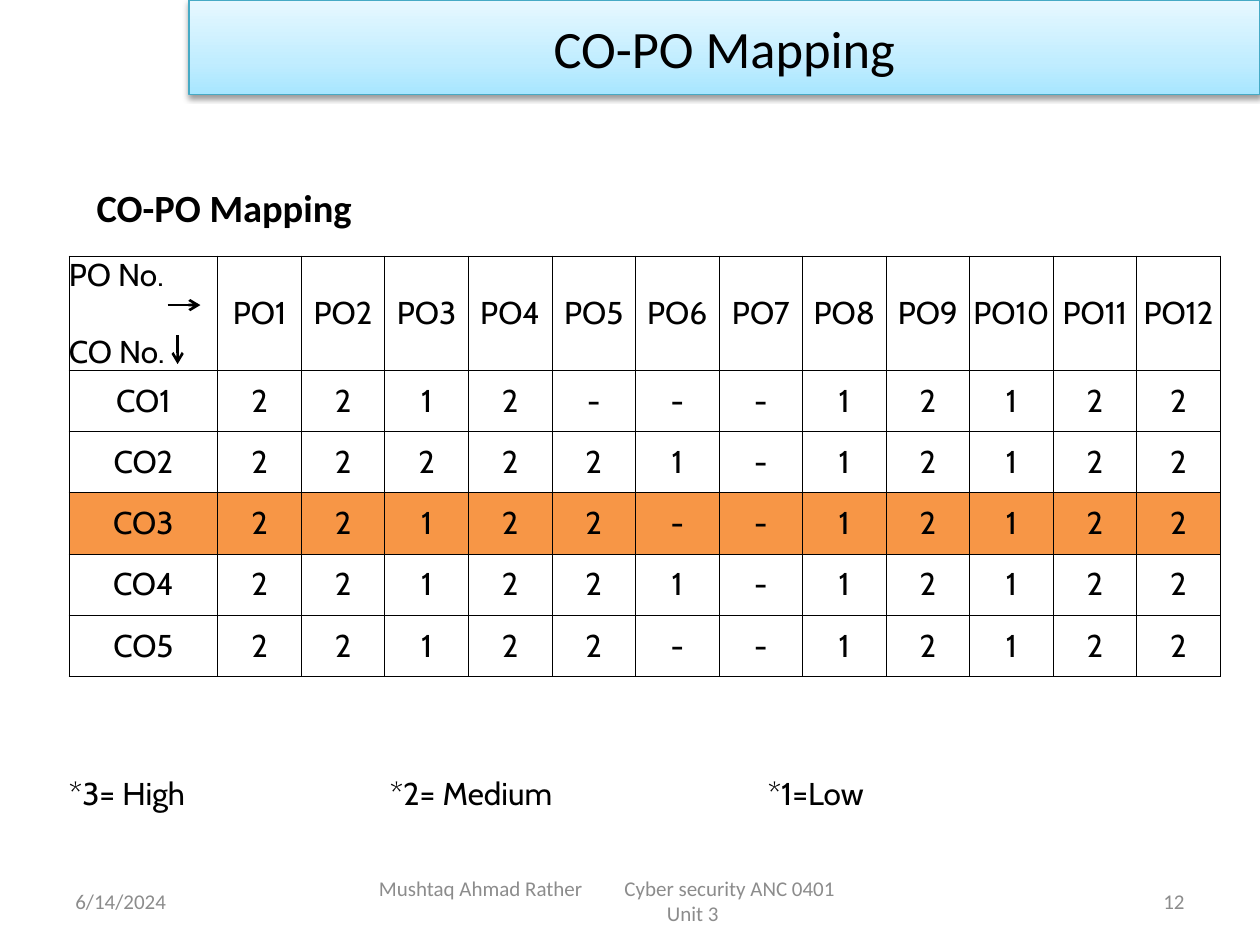
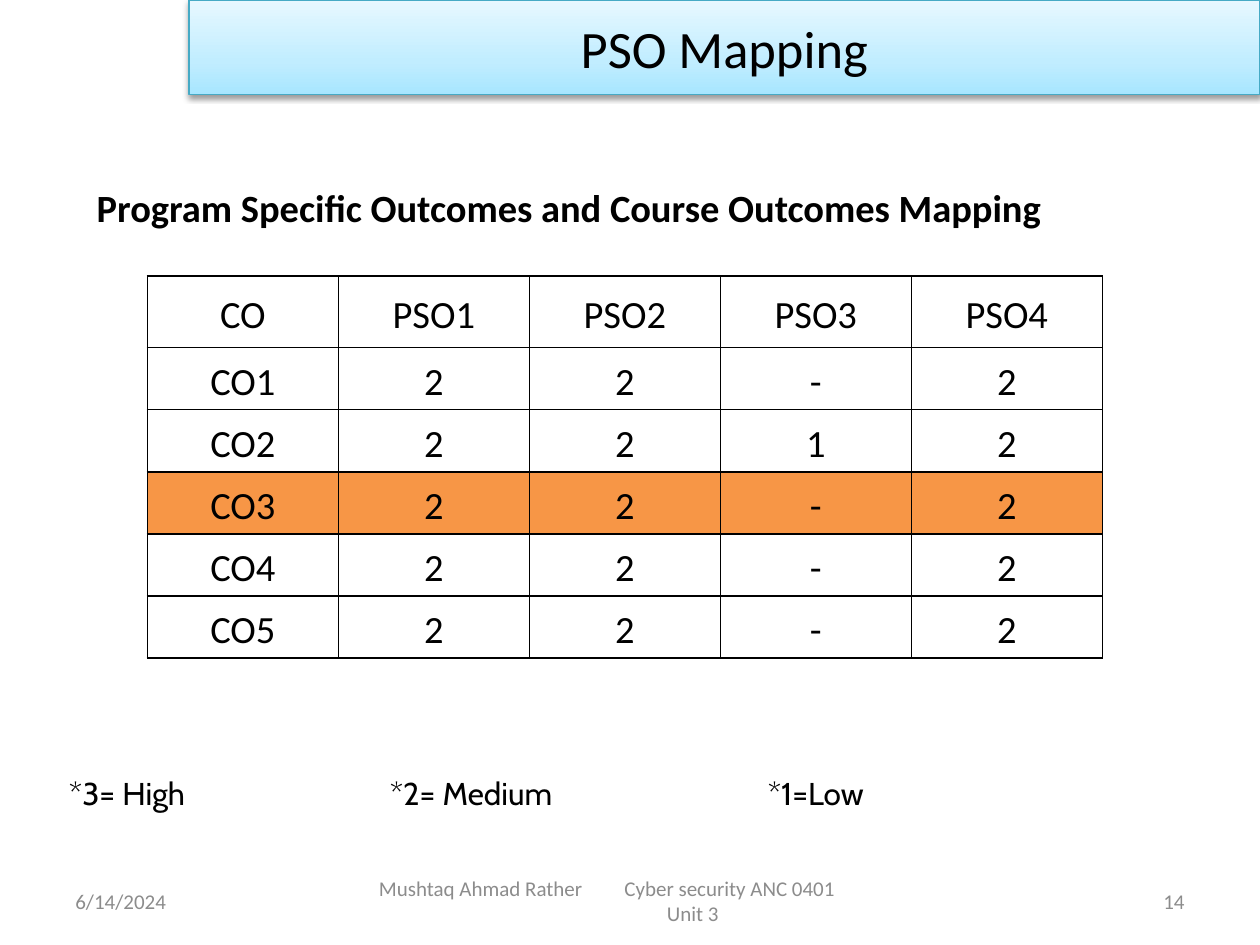
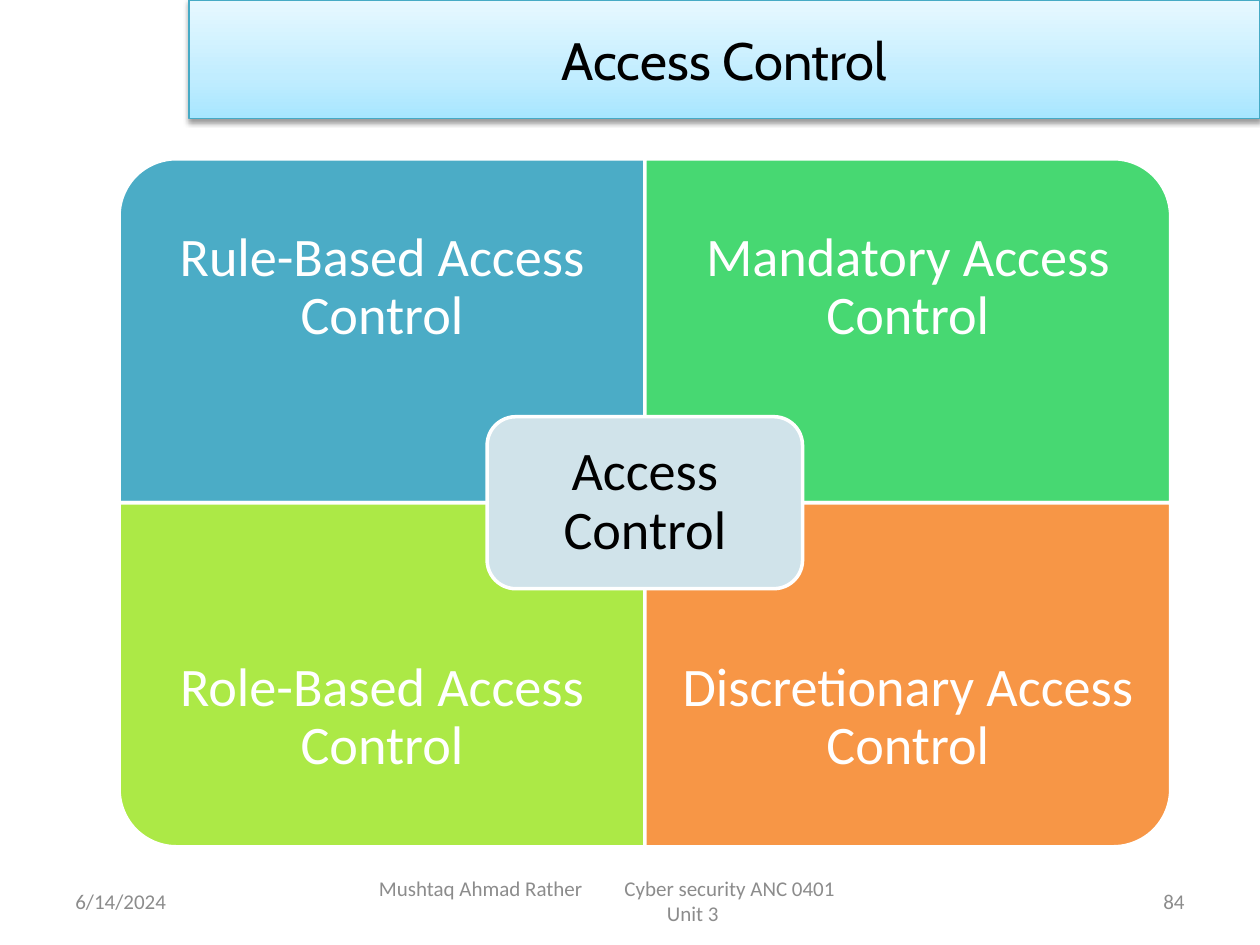
import copy
from dataclasses import dataclass

import lxml.etree
import pptx
import pptx.dml.color
import pptx.enum.shapes
import pptx.enum.text
import pptx.oxml.ns
import pptx.util

Cm = pptx.util.Cm
Pt = pptx.util.Pt
qn = pptx.oxml.ns.qn
SHAPES = pptx.enum.shapes.MSO_SHAPE
ALIGN = pptx.enum.text.PP_ALIGN
ANCHOR = pptx.enum.text.MSO_ANCHOR


@dataclass(frozen=True)
class Theme:
    body_font: str = "Calibri"
    accent_font: str = "Cabin"
    ink: str = "000000"
    paper: str = "FFFFFF"
    muted: str = "8C8C8C"
    highlight: str = "F79646"
    teal: str = "4BACC6"
    green: str = "47D872"
    lime: str = "ACE946"
    hub: str = "D0E3EA"
    band_line: str = "46AAC5"
    band_stops: tuple = ((0, "A7E6FF"), (0.35, "C1EDFF"), (1, "E7F8FF"))
    title_size: int = 30
    heading_size: int = 22
    grid_size: int = 18
    matrix_size: int = 31
    footer_size: int = 12


@dataclass(frozen=True)
class Box:
    left: float
    top: float
    width: float
    height: float

    def lengths(self):
        return Cm(self.left), Cm(self.top), Cm(self.width), Cm(self.height)

    def inner(self, left, top, width, height):
        return Box(self.left + left, self.top + top, width, height)


THEME = Theme()
BAND = Box(3.81, 0, 21.59, 1.91)
TALL_BAND = Box(3.81, 0, 21.59, 2.39)
FOOTER = Box(1.27, 17.65, 22.86, 1.02)
LEGEND = Box(0, 15.47, 24.82, 1.02)
DEFAULT_INSETS = (0.25, 0.13, 0.25, 0.13)


def rgb(value):
    return pptx.dml.color.RGBColor.from_string(value)


def add_element(parent, tag, **attributes):
    return lxml.etree.SubElement(parent, qn(tag), attributes)


def set_tabs(paragraph, *positions):
    tabs = add_element(paragraph._p.get_or_add_pPr(), "a:tabLst")
    for position in positions:
        add_element(tabs, "a:tab", pos=str(Cm(position)), algn="l")


def format_text(frame, size, color, font=THEME.body_font, align=ALIGN.LEFT, bold=False, spacing=None):
    for paragraph in frame.paragraphs:
        paragraph.alignment = align
        if spacing:
            paragraph.line_spacing = spacing
        for run in paragraph.runs:
            run.font.size = Pt(size)
            run.font.name = font
            run.font.bold = bold
            run.font.color.rgb = rgb(color)


def set_frame(frame, text, insets=DEFAULT_INSETS, anchor=ANCHOR.MIDDLE):
    frame.word_wrap = True
    frame.vertical_anchor = anchor
    frame.margin_left, frame.margin_top, frame.margin_right, frame.margin_bottom = map(Cm, insets)
    frame.text = text
    return frame


def add_text(slide, box, text, insets=DEFAULT_INSETS, anchor=ANCHOR.MIDDLE):
    return set_frame(slide.shapes.add_textbox(*box.lengths()).text_frame, text, insets, anchor)


def add_filled_shape(slide, kind, box, color):
    shape = slide.shapes.add_shape(kind, *box.lengths())
    shape.shadow.inherit = False
    shape.fill.solid()
    shape.fill.fore_color.rgb = rgb(color)
    shape.line.color.rgb = rgb(THEME.paper)
    shape.line.width = Pt(2)
    return shape


def title_band(slide, box, title, font=THEME.body_font):
    band = slide.shapes.add_shape(SHAPES.RECTANGLE, *box.lengths())
    band.fill.gradient()
    band.fill.gradient_angle = 90
    stops = band._element.spPr.find(".//" + qn("a:gsLst"))
    stops.append(copy.deepcopy(stops[-1]))
    for stop, (position, color) in zip(band.fill.gradient_stops, THEME.band_stops):
        stop.position = position
        stop.color.rgb = rgb(color)
    band.line.color.rgb = rgb(THEME.band_line)
    band.line.width = Pt(0.75)
    band.shadow.inherit = False
    effects = band._element.spPr.find(qn("a:effectLst"))
    shadow = add_element(effects, "a:outerShdw", blurRad="40000", dist="20000",
                         dir="5400000", rotWithShape="0")
    shade = add_element(shadow, "a:srgbClr", val=THEME.ink)
    add_element(shade, "a:alpha", val="38000")
    frame = set_frame(band.text_frame, title)
    format_text(frame, THEME.title_size, THEME.ink, font, ALIGN.CENTER)


def footer(slide, box, page_number):
    side = 5.93
    date = add_text(slide, box.inner(0, 0, side, box.height), "6/14/2024")
    format_text(date, THEME.footer_size, THEME.muted)

    page = add_text(slide, box.inner(box.width - side, 0, side, box.height), page_number)
    format_text(page, THEME.footer_size, THEME.muted, align=ALIGN.RIGHT)

    course = add_text(slide, box.inner(5.71, 0, 13.97, box.height),
                      "Mushtaq Ahmad Rather\tCyber security ANC 0401\nUnit 3",
                      (0.66, 0.13, 0.66, 0.13))
    set_tabs(course.paragraphs[0], 4.95)
    format_text(course, THEME.footer_size, THEME.muted)
    course.paragraphs[1].alignment = ALIGN.CENTER


def legend(slide, box):
    levels = add_text(slide, box, "*3= High\t*2= Medium\t*1=Low", (1.39, 0.13, 0.25, 0.13))
    set_tabs(levels.paragraphs[0], 6.47, 14.09)
    format_text(levels, THEME.grid_size, THEME.ink, THEME.accent_font)


def heading(slide, box, text):
    frame = add_text(slide, box, text, (0.76, 0.13, 0.25, 0), ANCHOR.TOP)
    format_text(frame, THEME.heading_size, THEME.ink, bold=True)


def set_borders(cell, width):
    properties = cell._tc.get_or_add_tcPr()
    for index, side in enumerate(("a:lnL", "a:lnR", "a:lnT", "a:lnB")):
        border = add_element(properties, side, w=str(Pt(width)))
        fill = add_element(border, "a:solidFill")
        add_element(fill, "a:srgbClr", val=THEME.ink)
        properties.insert(index, border)


def mapping_grid(slide, box, rows, first_column, first_row, border, insets, size, font, spacing=None):
    grid = slide.shapes.add_table(len(rows), len(rows[0]), *box.lengths()).table
    grid.first_row = False
    grid.horz_banding = False
    other_column = (box.width - first_column) / (len(rows[0]) - 1)
    other_row = (box.height - first_row) / (len(rows) - 1)
    for index, column in enumerate(grid.columns):
        column.width = Cm(other_column if index else first_column)
    for index, row in enumerate(grid.rows):
        row.height = Cm(other_row if index else first_row)
    row_fills = {"CO1": THEME.paper, "CO3": THEME.highlight}
    for row_index, values in enumerate(rows):
        row_fill = row_fills.get(values[0])
        for column_index, value in enumerate(values):
            cell = grid.cell(row_index, column_index)
            cell.vertical_anchor = ANCHOR.MIDDLE
            cell.margin_left, cell.margin_top, cell.margin_right, cell.margin_bottom = map(Cm, insets)
            cell.text_frame.text = value
            format_text(cell.text_frame, size, THEME.ink, font, ALIGN.CENTER, spacing=spacing)
            if row_fill:
                cell.fill.solid()
                cell.fill.fore_color.rgb = rgb(row_fill)
            else:
                cell.fill.background()
            set_borders(cell, border)
    return grid


def arrow(slide, box, start, end):
    points = [Cm(value) for x, y in (start, end) for value in (box.left + x, box.top + y)]
    connector = slide.shapes.add_connector(pptx.enum.shapes.MSO_CONNECTOR.STRAIGHT, *points)
    connector.line.color.rgb = rgb(THEME.ink)
    connector.line.width = Pt(1.5)
    add_element(connector.line._get_or_add_ln(), "a:tailEnd", type="arrow")
    add_element(connector._element.spPr, "a:effectLst")


def co_po_grid(slide, box):
    rows = [["PO No.\nCO No."] + [f"PO{number}" for number in range(1, 13)]]
    levels = ("2212---12122", "222221-12122", "22122--12122", "221221-12122", "22122--12122")
    rows += [[f"CO{number}", *marks] for number, marks in enumerate(levels, 1)]
    grid = mapping_grid(slide, box, rows, 3, 2.3, 0.5, (0, 0, 0, 0),
                        THEME.grid_size, THEME.accent_font)
    po_label, co_label = grid.cell(0, 0).text_frame.paragraphs
    po_label.alignment = co_label.alignment = ALIGN.LEFT
    co_label.space_before = Pt(22)
    arrow(slide, box, (1.99, 0.99), (2.65, 0.99))
    arrow(slide, box, (2.19, 1.6), (2.19, 2.18))


def pso_grid(slide, box):
    rows = [["CO"] + [f"PSO{number}" for number in range(1, 5)]]
    levels = ("22-2", "2212", "22-2", "22-2", "22-2")
    rows += [[f"CO{number}", *marks] for number, marks in enumerate(levels, 1)]
    mapping_grid(slide, box, rows, box.width / 5, 1.45, 1, (0.18, 0, 0.18, 0),
                 THEME.heading_size, THEME.body_font, 1.15)


def access_matrix(slide, box):
    width, height = box.width / 2, box.height / 2
    label_height = height * 0.75
    quadrants = (
        ("Rule-Based Access Control", THEME.teal, 0, 0, 270),
        ("Mandatory Access Control", THEME.green, 1, 0, 0),
        ("Role-Based Access Control", THEME.lime, 0, 1, 180),
        ("Discretionary Access Control", THEME.highlight, 1, 1, 90),
    )
    for label, color, column, row, rotation in quadrants:
        left, top = column * width, row * height
        quadrant = box.inner(left, top, width, height)
        if rotation % 180:
            shift = (width - height) / 2
            quadrant = box.inner(left + shift, top - shift, height, width)
        add_filled_shape(slide, SHAPES.ROUND_1_RECTANGLE, quadrant, color).rotation = rotation
        label_top = top + row * (height - label_height)
        frame = add_text(slide, box.inner(left, label_top, width, label_height), label, (0.6,) * 4)
        format_text(frame, THEME.matrix_size, THEME.paper, align=ALIGN.CENTER, spacing=0.9)

    hub_width, hub_height = width * 0.6, height * 0.5
    hub = add_filled_shape(slide, SHAPES.ROUNDED_RECTANGLE,
                           box.inner(width - hub_width / 2, height - hub_height / 2, hub_width, hub_height),
                           THEME.hub)
    frame = set_frame(hub.text_frame, "Access Control", (0.3,) * 4)
    format_text(frame, THEME.matrix_size, THEME.ink, align=ALIGN.CENTER, spacing=0.9)


def co_po_slide(slide):
    title_band(slide, BAND, "CO-PO Mapping")
    heading(slide, Box(1.19, 3.58, 10.52, 1.83), "CO-PO Mapping")
    co_po_grid(slide, Box(1.39, 5.16, 23.22, 8.48))
    legend(slide, LEGEND)
    footer(slide, FOOTER, "12")


def pso_slide(slide):
    title_band(slide, BAND, "PSO Mapping")
    heading(slide, Box(1.19, 3.58, 21.64, 1.07), "Program Specific Outcomes and Course Outcomes Mapping")
    pso_grid(slide, Box(2.97, 5.56, 19.25, 7.7))
    legend(slide, LEGEND)
    footer(slide, FOOTER, "14")


def access_slide(slide):
    title_band(slide, TALL_BAND, "Access Control", THEME.accent_font)
    access_matrix(slide, Box(2.4, 3.2, 21.2, 13.87))
    footer(slide, FOOTER, "84")


def main():
    deck = pptx.Presentation()
    deck.slide_width, deck.slide_height = Cm(25.4), Cm(19.05)
    blank = deck.slide_layouts[6]
    for build in (co_po_slide, pso_slide, access_slide):
        build(deck.slides.add_slide(blank))
    deck.save("out.pptx")


if __name__ == "__main__":
    main()
